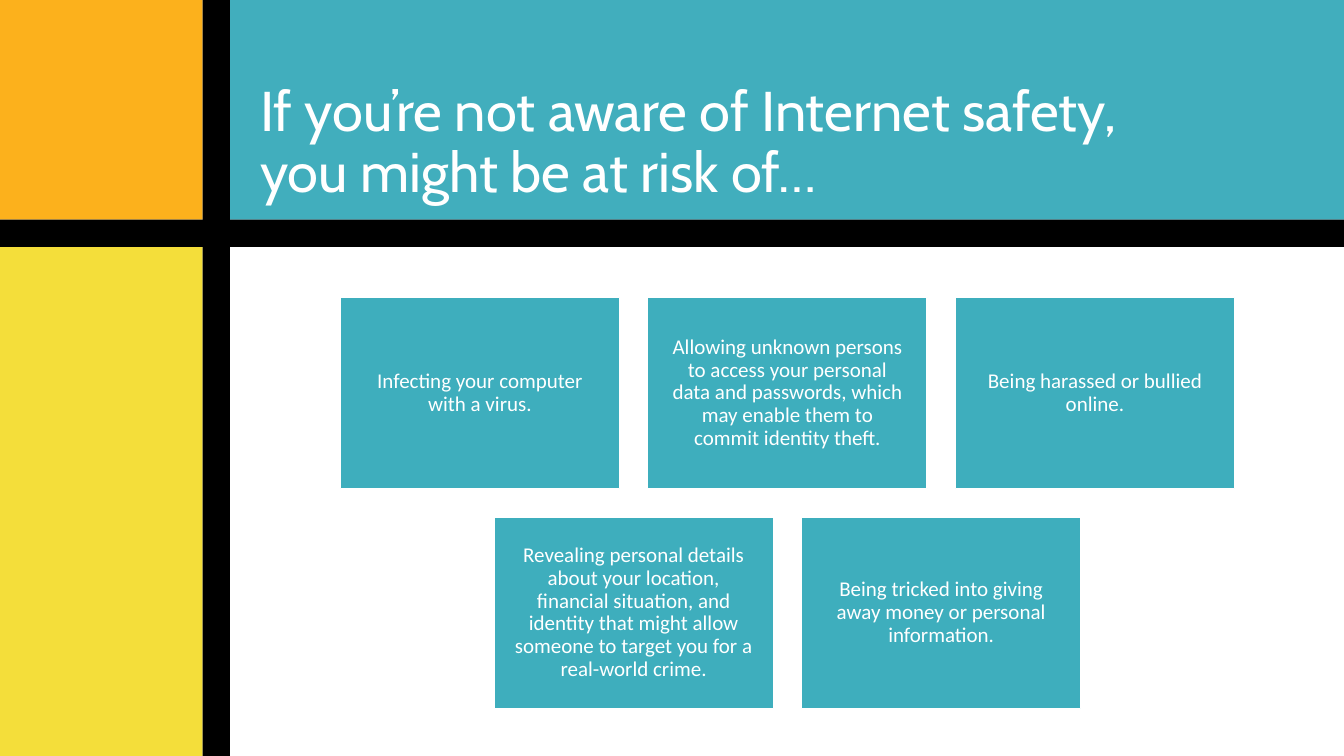
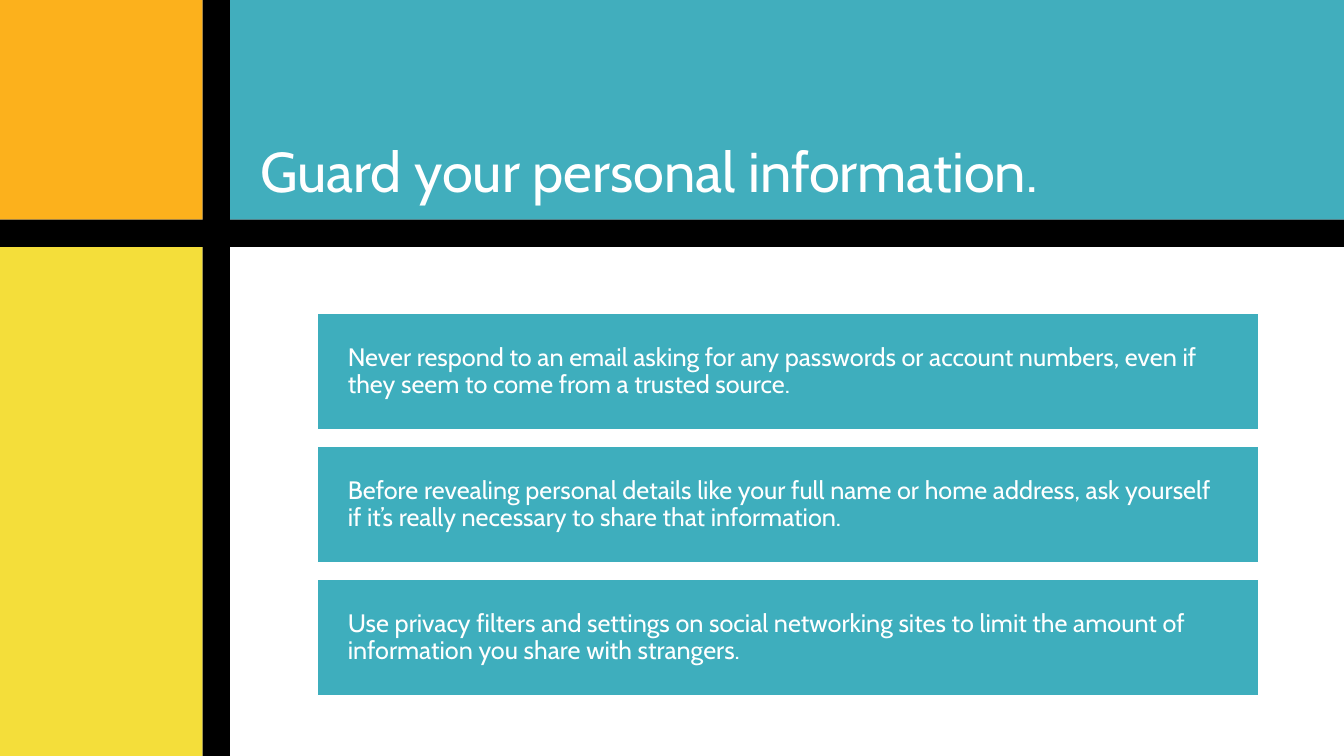
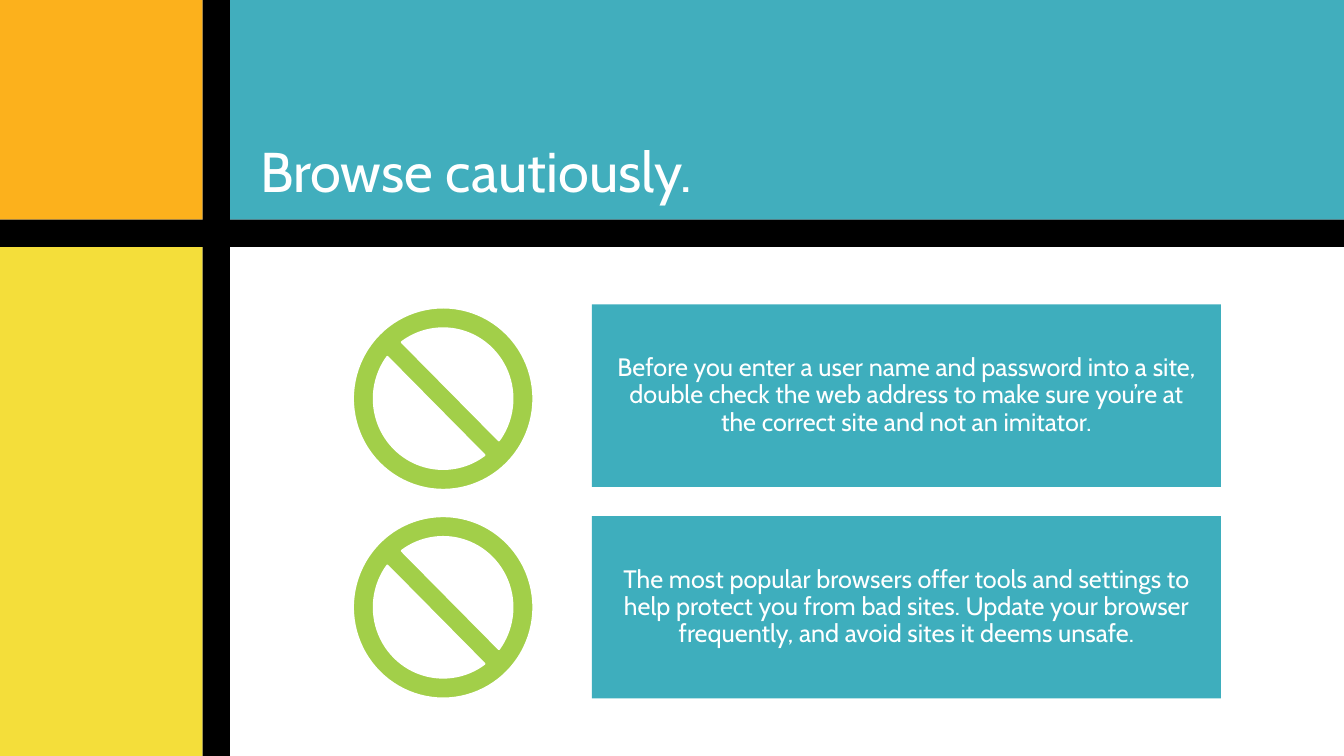
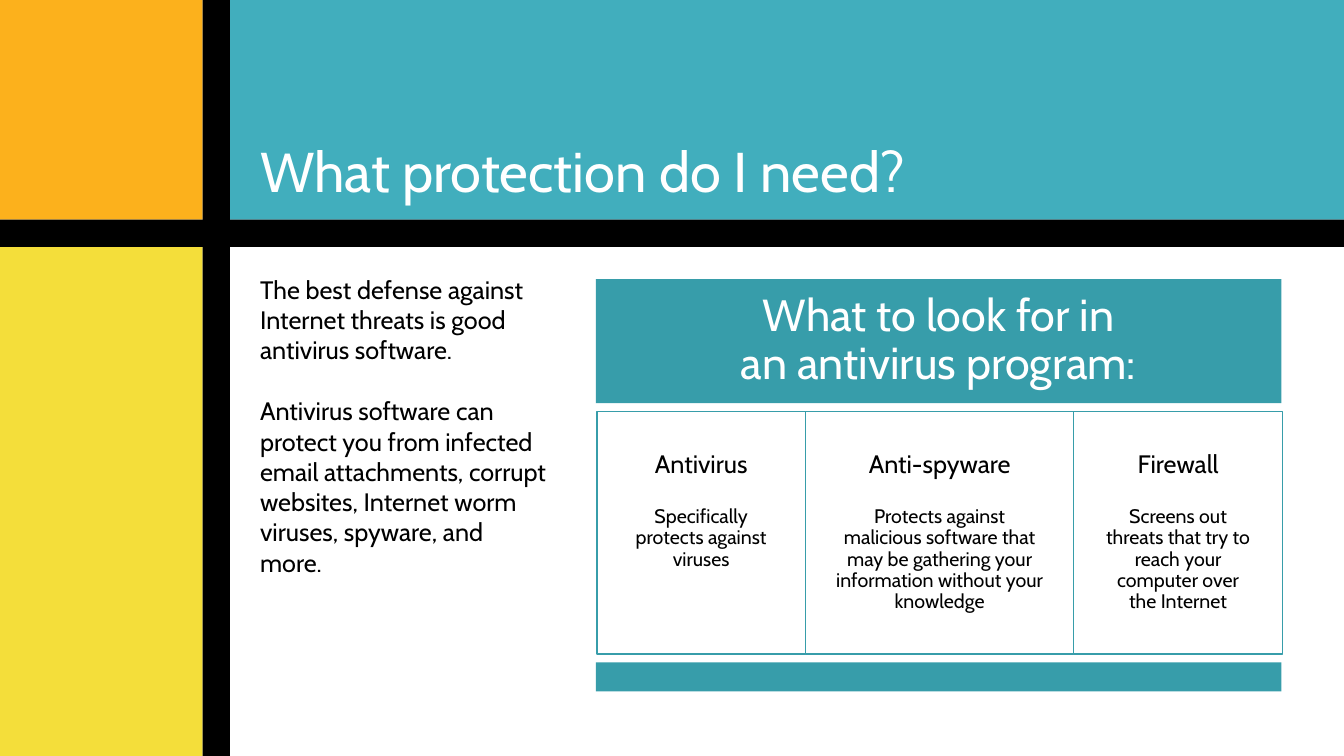
from dataclasses import dataclass
from itertools import accumulate

from pptx import Presentation
from pptx.dml.color import RGBColor
from pptx.enum.shapes import MSO_SHAPE
from pptx.enum.text import MSO_ANCHOR, MSO_AUTO_SIZE, PP_ALIGN
from pptx.shapes.autoshape import Shape
from pptx.slide import Slide, SlideLayout
from pptx.text.text import TextFrame, _Paragraph
from pptx.util import Inches, Pt

WHITE, BLACK = "FFFFFF", "000000"
TEAL, CARD, DEEP = "41AEBD", "3EAEBD", "379DAA"
ORANGE, YELLOW, GREEN = "FCB11C", "F4DE3A", "A2CF49"

WIDE, HIGH = 13.33, 7.5
SIDE, HEAD, BAR = 2.01, 2.18, 0.27
MAIN = SIDE + BAR  # left edge of the content area


@dataclass(frozen=True)
class Box:
    left: float
    top: float
    width: float
    height: float


@dataclass(frozen=True)
class Style:
    size: float
    font: str = "Cabin"
    color: str = WHITE
    align: PP_ALIGN = PP_ALIGN.CENTER
    spacing: float = 0.9


@dataclass(frozen=True)
class Feature:
    name: str
    text: str
    width: float


BANDS = [
    (Box(MAIN, 0, WIDE - MAIN, HEAD), TEAL),
    (Box(0, 0, SIDE, HEAD), ORANGE),
    (Box(0, HEAD + BAR, SIDE, HIGH - HEAD - BAR), YELLOW),
    (Box(0, HEAD, WIDE, BAR), BLACK),
    (Box(SIDE, 0, BAR, HIGH), BLACK),
]

TITLES = [
    "If you’re not aware of Internet safety,\nyou might be at risk of…",
    "Guard your personal information.",
    "Browse cautiously.",
    "What protection do I need?",
]

RISKS = [
    [
        "Infecting your computer with a virus.",
        "Allowing unknown persons to access your personal data and passwords, "
        "which may enable them to commit identity theft.",
        "Being harassed or bullied online.",
    ],
    [
        "Revealing personal details about your location, financial situation, "
        "and identity that might allow someone to target you for a real-world crime.",
        "Being tricked into giving away money or personal information.",
    ],
]

GUARDS = [
    "Never respond to an email asking for any passwords or account numbers, "
    "even if they seem to come from a trusted source.",
    "Before revealing personal details like your full name or home address, "
    "ask yourself if it’s really necessary to share that information.",
    "Use privacy filters and settings on social networking sites to limit "
    "the amount of information you share with strangers.",
]

CHECKS = [
    "Before you enter a user name and password into a site, double check the "
    "web address to make sure you’re at the correct site and not an imitator.",
    "The most popular browsers offer tools and settings to help protect you "
    "from bad sites. Update your browser frequently, and avoid sites it deems unsafe.",
]

ADVICE = [
    "The best defense against Internet threats is good antivirus software.",
    "Antivirus software can protect you from infected email attachments, "
    "corrupt websites, Internet worm viruses, spyware, and more.",
]

FEATURES = [
    Feature("Antivirus", "Specifically protects against viruses", 2.07),
    Feature(
        "Anti-spyware",
        "Protects against malicious software that may be gathering your "
        "information without your knowledge",
        2.66,
    ),
    Feature(
        "Firewall",
        "Screens out threats that try to reach your computer over the Internet",
        2.07,
    ),
]


def color(code: str) -> RGBColor:
    return RGBColor.from_string(code)


def place(box: Box) -> tuple:
    return tuple(Inches(n) for n in (box.left, box.top, box.width, box.height))


def draw(
    slide: Slide,
    box: Box,
    fill: str,
    line: str = "",
    weight: float = 1,
    kind: MSO_SHAPE = MSO_SHAPE.RECTANGLE,
) -> Shape:
    shape = slide.shapes.add_shape(kind, *place(box))
    shape.shadow.inherit = False
    shape.fill.solid()
    shape.fill.fore_color.rgb = color(fill)
    if line:
        shape.line.color.rgb = color(line)
        shape.line.width = Pt(weight)
    else:
        shape.line.fill.background()
    return shape


def frame(shape: Shape, side: float, top: float, base: float, anchor: MSO_ANCHOR) -> TextFrame:
    """Set wrapping, insets and anchor of a shape's text."""
    text = shape.text_frame
    text.word_wrap = True
    text.auto_size = MSO_AUTO_SIZE.NONE
    text.margin_left = text.margin_right = Inches(side)
    text.margin_top, text.margin_bottom = Inches(top), Inches(base)
    text.vertical_anchor = anchor
    return text


def write(para: _Paragraph, words: str, style: Style, gap: float = 0) -> None:
    """Fill a paragraph; gap is the space before it in points."""
    para.text = words
    para.alignment = style.align
    para.line_spacing = style.spacing
    para.space_before = Pt(gap)
    for run in para.runs:
        run.font.size = Pt(style.size)
        run.font.name = style.font
        run.font.color.rgb = color(style.color)


def card(
    slide: Slide, box: Box, words: str, style: Style,
    fill: str = CARD, line: str = "", side: float = 0.2, pad: float = 0.1,
) -> None:
    text = frame(draw(slide, box, fill, line), side, pad, pad, MSO_ANCHOR.MIDDLE)
    write(text.paragraphs[0], words, style)


def page(deck: Presentation, layout: SlideLayout, words: str) -> Slide:
    slide = deck.slides.add_slide(layout)
    title = slide.shapes.title
    tall = 0.3 + 0.61 * len(words.splitlines())
    title.left, title.top, title.width, title.height = place(
        Box(MAIN, HEAD - tall, 10.65, tall)
    )
    text = frame(title, 0.3, 0.15, 0.15, MSO_ANCHOR.BOTTOM)
    write(text.paragraphs[0], words, Style(40, align=PP_ALIGN.LEFT))
    return slide


def dress(layout: SlideLayout, slide: Slide) -> None:
    """Draw the bands on a slide and move them to the back of its layout."""
    for extra in list(layout.placeholders)[1:]:
        layout.shapes.element.remove(extra.element)
    bands = [draw(slide, box, fill) for box, fill in BANDS]
    for spot, band in enumerate(bands, start=2):
        layout.shapes.element.insert(spot, band.element)


def risks(slide: Slide) -> None:
    wide, high, gap, mid = 2.77, 1.9, 0.28, 7.81
    style = Style(15, font="Calibri")
    for row, items in enumerate(RISKS):
        left = mid - (len(items) * (wide + gap) - gap) / 2
        for col, words in enumerate(items):
            box = Box(left + col * (wide + gap), 2.95 + row * (high + gap), wide, high)
            card(slide, box, words, style, line=WHITE)


def guards(slide: Slide) -> None:
    style = Style(18, align=PP_ALIGN.LEFT)
    for row, words in enumerate(GUARDS):
        box = Box(3.15, 3.11 + row * 1.32, 9.33, 1.15)
        card(slide, box, words, style, line=WHITE, side=0.3)


def checks(slide: Slide) -> None:
    high = 1.81
    for words, top, rise in zip(CHECKS, (3.02, 5.12), (3.05, 5.12)):
        card(slide, Box(5.87, top, 6.24, high), words, Style(18))
        sign = draw(
            slide, Box(3.5, rise, 1.79, high), GREEN, WHITE, 1.5, MSO_SHAPE.NO_SYMBOL
        )
        sign.adjustments[0] = 0.116


def shield(slide: Slide) -> None:
    note = slide.shapes.add_textbox(*place(Box(MAIN, 2.52, 3.44, 3.43)))
    text = frame(note, 0.3, 0.2, 0.2, MSO_ANCHOR.TOP)
    plain = Style(18, color=BLACK, align=PP_ALIGN.LEFT, spacing=1.0)
    write(text.paragraphs[0], ADVICE[0], plain)
    write(text.add_paragraph(), ADVICE[1], plain, gap=22)

    left, wide = 5.91, 6.8
    card(
        slide, Box(left, 2.77, wide, 1.23), "What to look for in\nan antivirus program:",
        Style(32), fill=DEEP, side=0.13, pad=0.13,
    )
    edges = accumulate((item.width for item in FEATURES), initial=left + 0.01)
    for item, edge in zip(FEATURES, edges):
        cell = draw(slide, Box(edge, 4.08, item.width, 2.41), WHITE, DEEP)
        text = frame(cell, 0.3, 0.4, 0.2, MSO_ANCHOR.TOP)
        write(text.paragraphs[0], item.name, Style(18, color=BLACK))
        write(text.add_paragraph(), item.text, Style(14, color=BLACK), gap=20)
    draw(slide, Box(left, 6.57, wide, 0.29), DEEP)


def main() -> None:
    deck = Presentation()
    deck.slide_width, deck.slide_height = Inches(WIDE), Inches(HIGH)
    layout = deck.slide_layouts.get_by_name("Title Only")
    pages = [page(deck, layout, words) for words in TITLES]
    dress(layout, pages[0])
    for fill, slide in zip((risks, guards, checks, shield), pages):
        fill(slide)
    deck.save("out.pptx")


if __name__ == "__main__":
    main()
